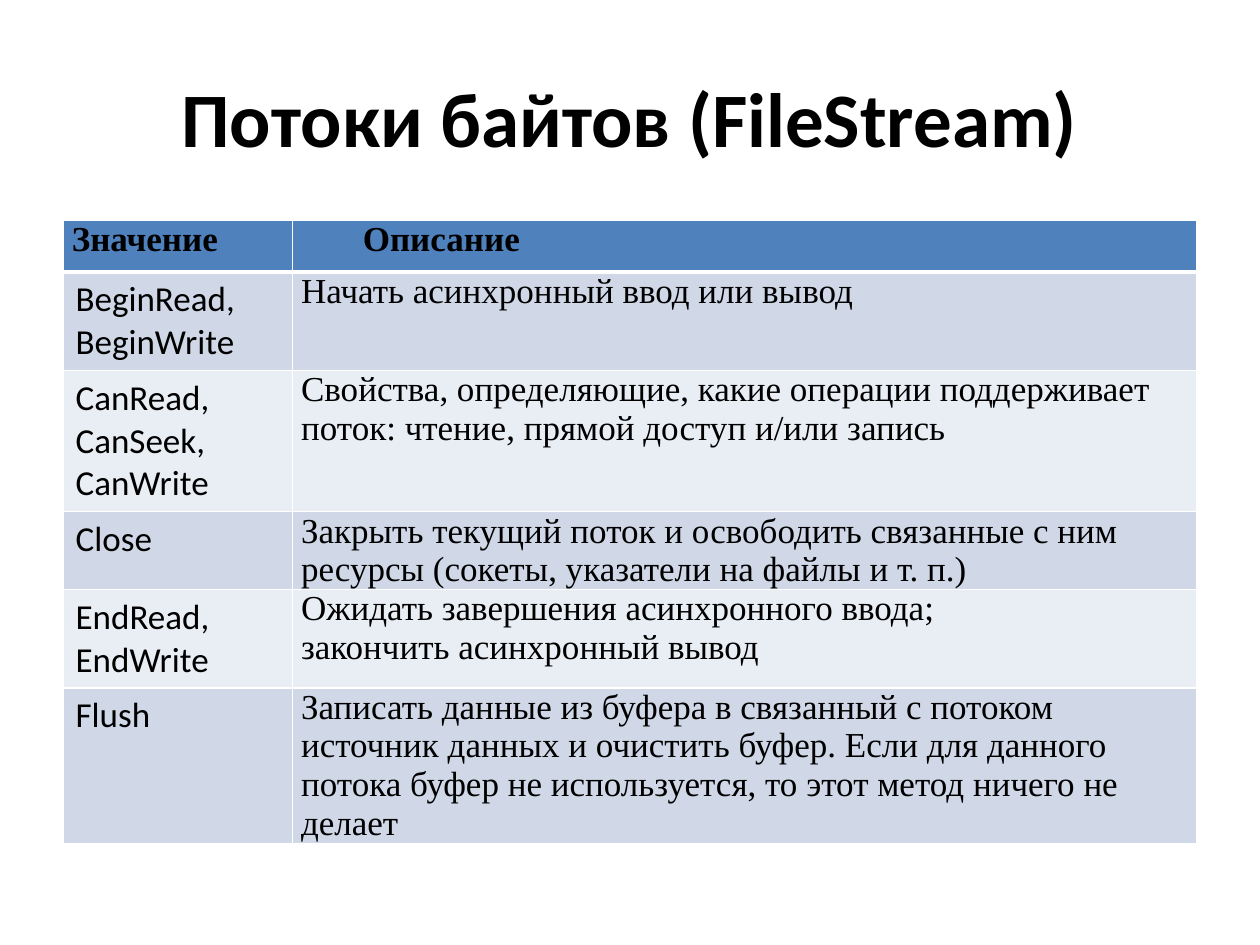
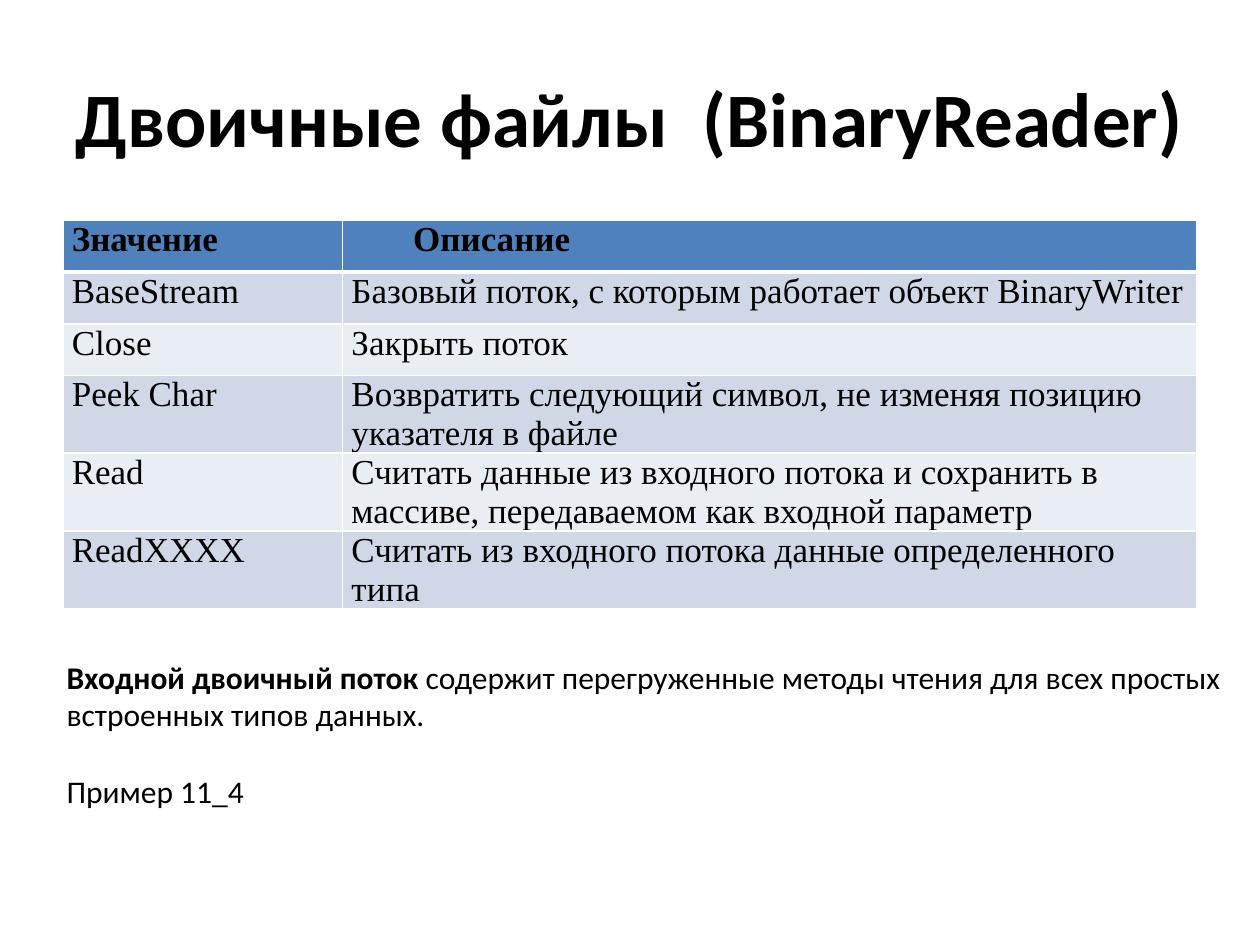
from lxml.etree import SubElement
from pptx import Presentation
from pptx.dml.color import RGBColor
from pptx.enum.text import MSO_ANCHOR, MSO_AUTO_SIZE, PP_ALIGN
from pptx.oxml.ns import qn
from pptx.util import Inches, Pt

COLORS = {"text": "000000", "header": "4F81BD", "odd": "D0D8E8",
          "even": "E9EDF4", "border": "FFFFFF"}
SANS, SERIF = "Calibri", "Times New Roman"
WIDTH, HEIGHT = Inches(10), Inches(7.5)
MARGIN, CONTENT_WIDTH = 0.05 * WIDTH, 0.9 * WIDTH
ROW_HEIGHT = Inches(0.41)

SLIDES = [
    {"title": "Потоки байтов (FileStream)", "name_width": 1.82, "name_font": SANS,
     "rows": [
         ("BeginRead,\nBeginWrite", "Начать асинхронный ввод или вывод"),
         ("CanRead,\nCanSeek,\nCanWrite",
          "Свойства, определяющие, какие операции поддерживает поток: "
          "чтение, прямой доступ и/или запись"),
         ("Сlose", "Закрыть текущий поток и освободить связанные с ним ресурсы "
                   "(сокеты, указатели на файлы и т. п.)"),
         ("EndRead,\nEndWrite",
          "Ожидать завершения асинхронного ввода; \vзакончить асинхронный вывод"),
         ("Flush", "Записать данные из буфера в связанный с потоком источник данных "
                   "и очистить буфер. Если для данного потока буфер не используется, "
                   "то этот метод ничего не делает"),
     ]},
    {"title": "Двоичные файлы  (BinaryReader)", "name_width": 2.22, "name_font": SERIF,
     "rows": [
         ("BaseStream", "Базовый поток, с которым работает объект BinaryWriter"),
         ("Close", "Закрыть поток"),
         ("Peek Char", "Возвратить следующий символ, не изменяя позицию указателя в файле"),
         ("Read", "Считать данные из входного потока и сохранить в массиве, "
                  "передаваемом как входной параметр"),
         ("ReadХХХХ", "Считать из входного потока данные определенного типа"),
     ]},
]


def style_font(font, name, size, bold=False):
    font.name, font.size, font.bold = name, Pt(size), bold
    font.color.rgb = RGBColor.from_string(COLORS["text"])


def style_cell(cell, row, font_name):
    properties = cell._tc.get_or_add_tcPr()
    for side in "LRTB":
        thick = (row, side) in ((0, "B"), (1, "T"))
        line = SubElement(properties, qn(f"a:ln{side}"), w=str(Pt(3 if thick else 1)))
        SubElement(SubElement(line, qn("a:solidFill")), qn("a:srgbClr"), val=COLORS["border"])
    band = "header" if row == 0 else "odd" if row % 2 else "even"
    cell.fill.solid()
    cell.fill.fore_color.rgb = RGBColor.from_string(COLORS[band])
    if font_name == SERIF:
        cell.margin_left = cell.margin_right = Inches(0.07)
        cell.margin_top = cell.margin_bottom = 0
    for para in cell.text_frame.paragraphs:
        style_font(para.font, font_name, 20, row == 0)
        if font_name == SERIF:
            para.space_before = Pt(12)


deck = Presentation()
deck.slide_width, deck.slide_height = WIDTH, HEIGHT

for content in SLIDES:
    page = deck.slides.add_slide(deck.slide_layouts[5])
    title = page.shapes.title
    title.left, title.top = int(MARGIN), int(0.04 * HEIGHT)
    title.width, title.height = int(CONTENT_WIDTH), Inches(1.25)
    title.text_frame.text = content["title"]
    title.text_frame.auto_size = MSO_AUTO_SIZE.NONE
    title.text_frame.vertical_anchor = MSO_ANCHOR.MIDDLE
    heading = title.text_frame.paragraphs[0]
    heading.alignment = PP_ALIGN.CENTER
    style_font(heading.font, SANS, 44, True)

    rows = [("Значение", "Описание")] + content["rows"]
    table = page.shapes.add_table(len(rows), 2, int(MARGIN), Inches(1.75),
                                  int(CONTENT_WIDTH), ROW_HEIGHT * len(rows)).table
    table.columns[0].width = Inches(content["name_width"])
    table.columns[1].width = int(CONTENT_WIDTH) - table.columns[0].width
    for row, texts in enumerate(rows):
        for column, text in enumerate(texts):
            cell = table.cell(row, column)
            cell.text_frame.text = text
            is_name = row > 0 and column == 0
            style_cell(cell, row, content["name_font"] if is_name else SERIF)
    description = table.cell(0, 1).text_frame.paragraphs[0]
    description._p.get_or_add_pPr().set("indent", str(Inches(0.49)))

box = page.shapes.add_textbox(Inches(0.43), Inches(5.17), Inches(9.57), Inches(1.62))
frame = box.text_frame
frame.word_wrap = True
frame.auto_size = MSO_AUTO_SIZE.SHAPE_TO_FIT_TEXT
note = frame.paragraphs[0]
style_font(note.font, SANS, 18)
for text, bold in (("Входной двоичный поток ", True),
                   ("содержит перегруженные методы чтения для всех простых "
                    "встроенных типов данных.", False)):
    span = note.add_run()
    span.text = text
    span.font.bold = bold
example = frame.add_paragraph()
example.text = "Пример 11_4"
example.space_before = Pt(22)
style_font(example.font, SANS, 18)

deck.save("out.pptx")
